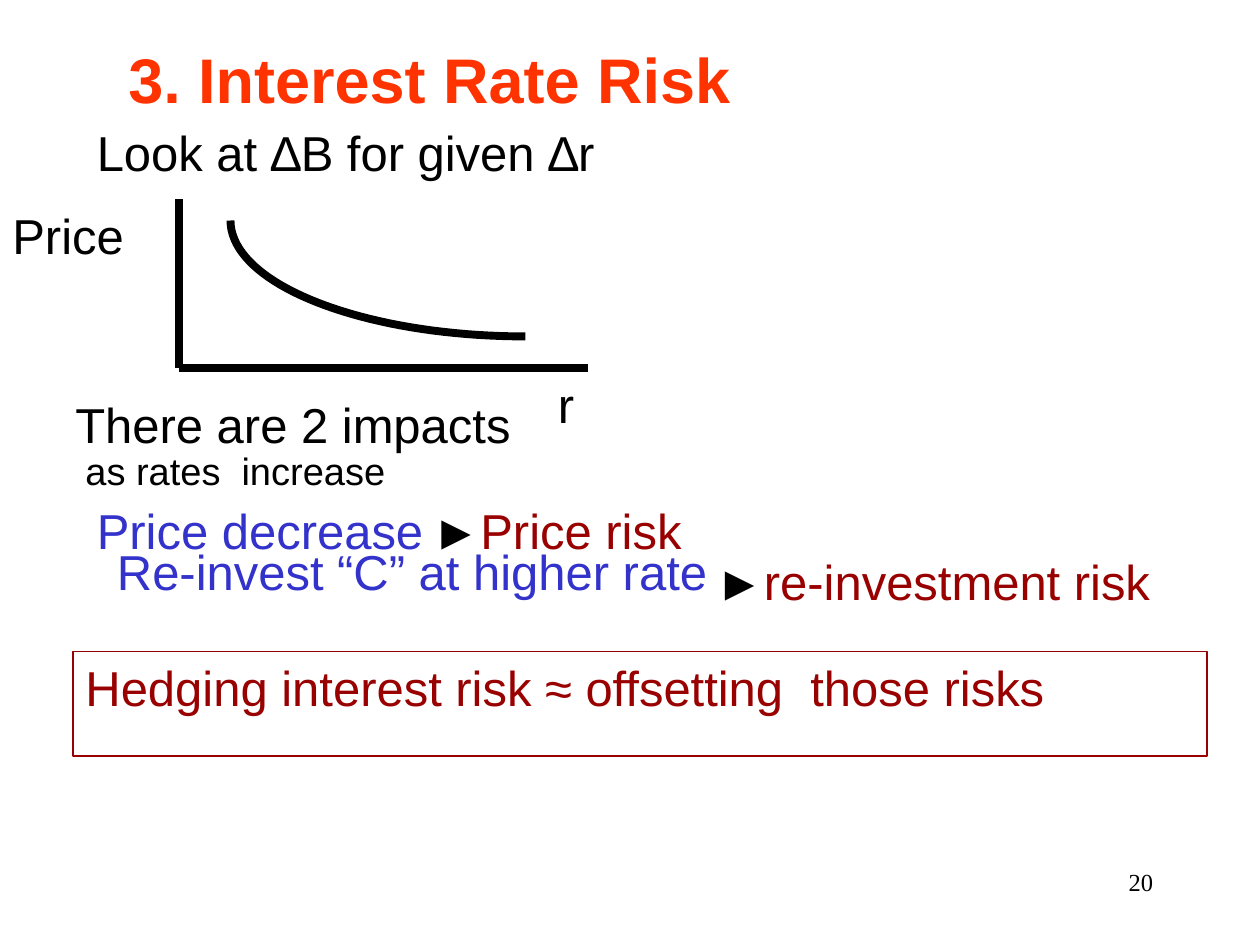
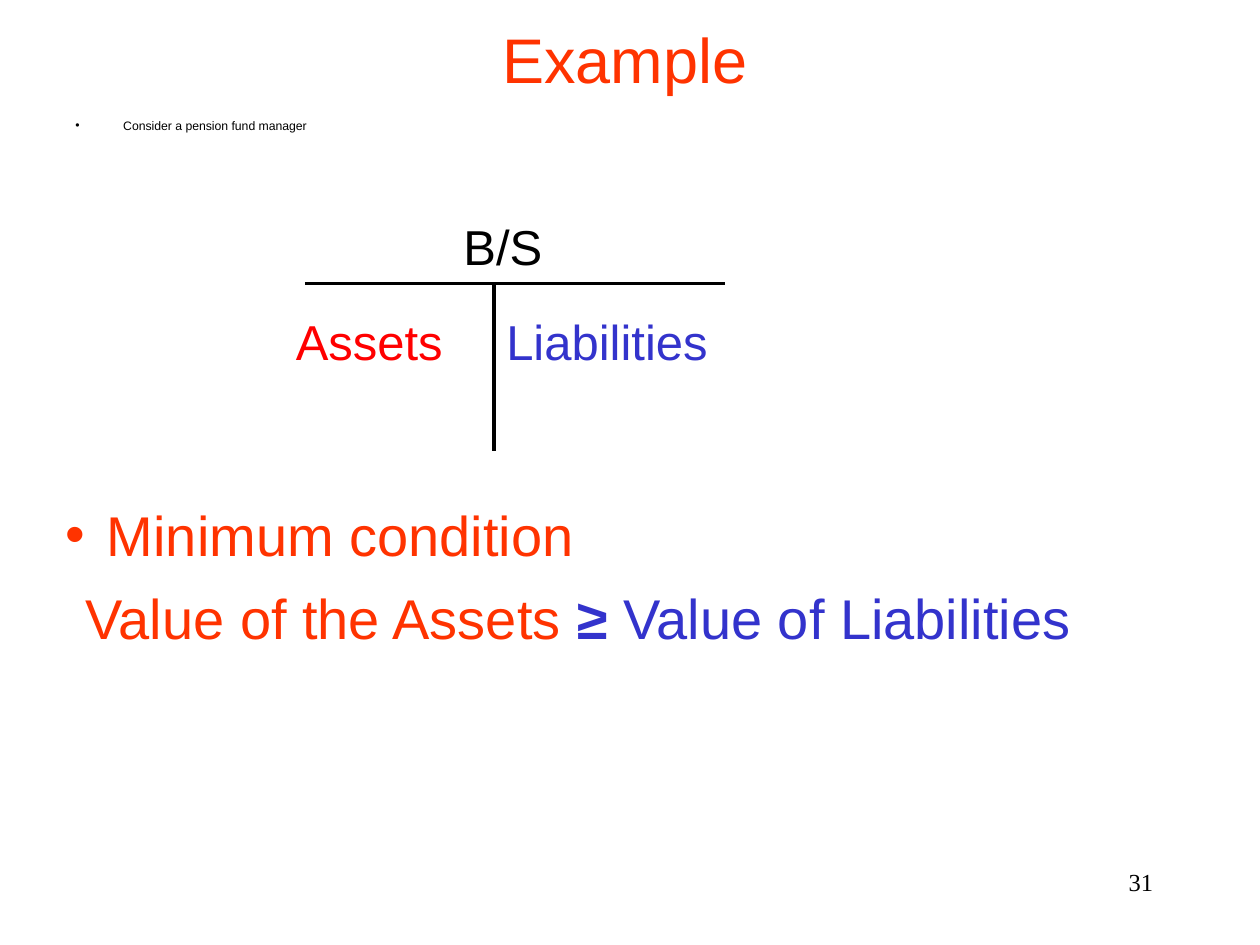
from lxml import etree
from pptx import Presentation
from pptx.dml.color import RGBColor
from pptx.enum.shapes import MSO_CONNECTOR as Link, MSO_SHAPE as Shape
from pptx.enum.text import MSO_ANCHOR as Anchor, PP_ALIGN as Align
from pptx.oxml.ns import qn
from pptx.util import Inches, Pt

BLACK, ORANGE, BLUE = "000000", "FF3300", "3333CC"
MAROON, RED = "990000", "FF0000"
SANS, SERIF = "Arial", "Times New Roman"
ROW = 0.57  # height of a one-line label


def tint(code):
    return RGBColor.from_string(code)


def write(frame, runs, size=28, font=SANS, align=Align.LEFT, anchor=Anchor.TOP):
    """Fill a frame with runs of (text, colour) or (text, colour, bold)."""
    frame.word_wrap = True
    frame.vertical_anchor = anchor
    para = frame.paragraphs[0]
    para.alignment = align
    for words, code, *bold in runs:
        run = para.add_run()
        run.text = words
        run.font.name, run.font.size = font, Pt(size)
        run.font.color.rgb = tint(code)
        run.font.bold = bool(bold and bold[0])
    return para


def label(slide, box, *runs, **style):
    area = slide.shapes.add_textbox(*map(Inches, box))
    return write(area.text_frame, runs, **style)


def bullet(para, indent, code):
    props = para._p.get_or_add_pPr()
    props.set("marL", str(Inches(indent)))
    props.set("indent", str(-Inches(indent)))
    color = etree.SubElement(props, qn("a:buClr"))
    etree.SubElement(color, qn("a:srgbClr")).set("val", code)
    etree.SubElement(props, qn("a:buFont")).set("typeface", SANS)
    etree.SubElement(props, qn("a:buChar")).set("char", "•")


def rule(slide, start, end, width):
    line = slide.shapes.add_connector(Link.STRAIGHT, *map(Inches, start + end))
    line.line.color.rgb = tint(BLACK)
    line.line.width = Pt(width)
    etree.SubElement(line._element.spPr, qn("a:effectLst"))


def title(slide, box, words, bold=False, align=Align.LEFT):
    label(slide, box, (words, ORANGE, bold), size=36, align=align,
          anchor=Anchor.MIDDLE)


def footer(slide, number):
    label(slide, (7.17, 6.83, 2.08, 0.5), (str(number), BLACK),
          size=14, font=SERIF, align=Align.RIGHT)


def curve(slide, left, top, wide, high):
    """Quarter-ellipse that falls from top left and levels off at right."""
    bend, steps = 0.55, 40
    points = []
    for step in range(steps + 1):
        t = step / steps
        u = 1 - t
        x = 3 * u * t * t * (1 - bend) + t ** 3
        y = 3 * u * u * t * bend + 3 * u * t * t + t ** 3
        points.append((Inches(left + wide * x), Inches(top + high * y)))
    path = slide.shapes.build_freeform(*points[0])
    path.add_line_segments(points[1:], close=False)
    shape = path.convert_to_shape()
    shape.shadow.inherit = False
    shape.fill.background()
    shape.line.color.rgb = tint(BLACK)
    shape.line.width = Pt(4.5)


def graph(slide, left, top, wide, high):
    """Price against rate, with both axes named."""
    base = top + high
    rule(slide, (left, top), (left, base), 4.5)
    rule(slide, (left, base), (left + wide, base), 4.5)
    label(slide, (left - 1.42, top, 1.33, ROW), ("Price", BLACK))
    label(slide, (left + 2.91, base, 1.33, ROW), ("r", BLACK))
    curve(slide, left + 0.41, top + 0.17, 2.34, 0.92)


def impact(slide, left, top, cause, shift, drop, risk):
    """A cause in blue, then an arrow and the risk it brings."""
    label(slide, (left, top, 8.5, 0.83), (cause, BLUE))
    label(slide, (left + shift, top + drop, 3.75, ROW),
          ("►", BLACK), (risk, MAROON))


def banner(slide, box, words):
    shape = slide.shapes.add_shape(Shape.RECTANGLE, *map(Inches, box))
    shape.shadow.inherit = False
    shape.fill.background()
    shape.line.color.rgb = tint(MAROON)
    shape.line.width = Pt(0.75)
    write(shape.text_frame, [(words, MAROON)])


def sheet(slide, left, top, wide, high):
    """T-account with its heading and two sides."""
    stem = left + 1.5
    rule(slide, (left, top), (left + wide, top), 2)
    rule(slide, (stem, top), (stem, top + high), 2)
    label(slide, (stem - 0.34, top - 0.58, 1.17, ROW), ("B/S", BLACK))
    label(slide, (stem, top + 0.17, 2, ROW), ("Liabilities", BLUE))
    label(slide, (left - 0.17, top + 0.17, 1.75, ROW), ("Assets", RED))


def risk_slide(slide):
    footer(slide, 20)
    title(slide, (0.92, 0.33, 8.33, 0.58), "3. Interest Rate Risk", bold=True)
    label(slide, (0.67, 0.92, 8.5, 0.83), ("Look at ∆B for given ∆r", BLACK))
    graph(slide, 1.42, 1.58, 3.25, 1.34)
    # Effects of a rise in rates
    label(slide, (0.5, 3.08, 8.5, 0.83), ("There are 2 impacts", BLACK))
    label(slide, (0.58, 3.5, 8.5, 0.5), ("as rates  increase", BLACK), size=21.7)
    impact(slide, 0.67, 3.92, "Price decrease", 2.66, 0, "Price risk")
    impact(slide, 0.83, 4.25, "Re-invest “C” at higher rate",
           4.75, 0.08, "re-investment risk")
    banner(slide, (0.58, 5.17, 9, 0.83),
           "Hedging interest risk ≈ offsetting  those risks")


def fund_slide(slide):
    footer(slide, 31)
    title(slide, (0.67, 0, 8.58, 0.92), "Example", align=Align.CENTER)
    note = label(slide, (0.5, 0.92, 8.5, 0.83),
                 ("Consider a pension fund manager", BLACK), size=7)
    bullet(note, 0.38, BLACK)
    note.line_spacing = 0.7
    sheet(slide, 2.42, 2.25, 3.33, 1.33)
    # Solvency test
    test = label(slide, (0.42, 3.92, 4.42, 0.64),
                 ("Minimum condition", ORANGE), size=32)
    bullet(test, 0.33, ORANGE)
    label(slide, (0.58, 4.58, 9, 0.64), ("Value of the Assets ", ORANGE),
          ("≥ ", BLUE, True), ("Value of Liabilities", BLUE), size=32)


def main():
    deck = Presentation()
    deck.slide_width, deck.slide_height = Inches(10), Inches(7.5)
    for build in (risk_slide, fund_slide):
        build(deck.slides.add_slide(deck.slide_layouts[6]))
    deck.save("out.pptx")


if __name__ == "__main__":
    main()
